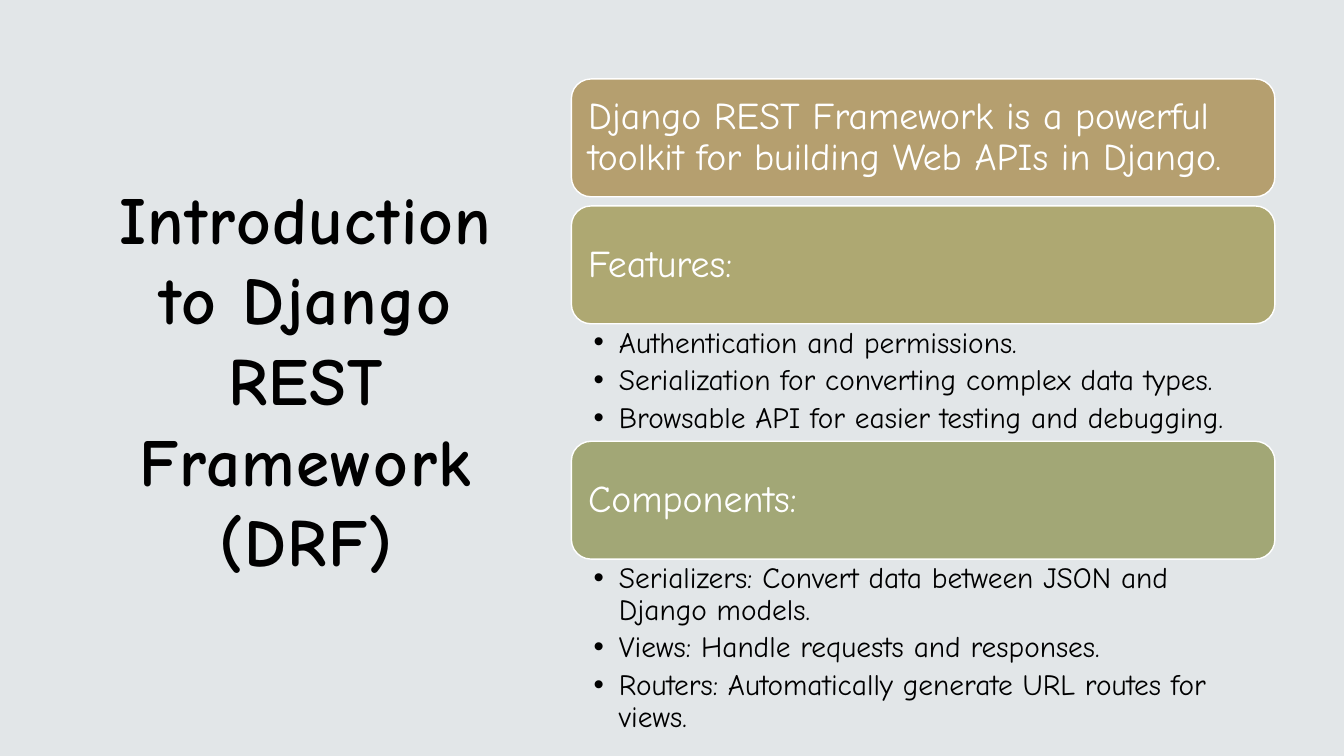
from lxml import etree
from pptx import Presentation
from pptx.dml.color import RGBColor
from pptx.enum.shapes import MSO_SHAPE
from pptx.enum.text import MSO_ANCHOR, PP_ALIGN
from pptx.oxml.ns import qn
from pptx.util import Cm, Pt

ROUNDED = MSO_SHAPE.ROUNDED_RECTANGLE
MIDDLE = MSO_ANCHOR.MIDDLE
LEFT, CENTER = PP_ALIGN.LEFT, PP_ALIGN.CENTER

FONT = "Comic Neue"
COLORS = {
    "background": "E2E6E8",
    "text": "000000",
    "white": "FFFFFF",
    "summary": "B59F6F",
    "features": "AEA872",
    "components": "A2A776",
}
HEADER_H, BULLETS_H, GAP = 2.97, 2.96, 0.23
SECTIONS = [
    ("summary", "Django REST Framework is a powerful toolkit for building Web APIs in Django.", []),
    ("features", "Features:", [
        "Authentication and permissions.",
        "Serialization for converting complex data types.",
        "Browsable API for easier testing and debugging.",
    ]),
    ("components", "Components:", [
        "Serializers: Convert data between JSON and Django models.",
        "Views: Handle requests and responses.",
        "Routers: Automatically generate URL routes for views.",
    ]),
]


def rgb(name):
    return RGBColor.from_string(COLORS[name])


def set_margins(tf, left, top, right, bottom):
    tf.margin_left, tf.margin_top = Cm(left), Cm(top)
    tf.margin_right, tf.margin_bottom = Cm(right), Cm(bottom)


def write(p, text, size, color, bold=False):
    p.text = text
    for r in p.runs:
        r.font.name = FONT
        r.font.size = Pt(size)
        r.font.bold = bold
        r.font.color.rgb = rgb(color)


def add_bullet(p):
    pPr = p._p.get_or_add_pPr()
    pPr.set("marL", str(Cm(0.64)))
    pPr.set("indent", str(-Cm(0.64)))
    etree.SubElement(pPr, qn("a:buFont")).set("typeface", "Arial")
    etree.SubElement(pPr, qn("a:buChar")).set("char", "•")


def add_title(s, x, y, w, h):
    tf = s.shapes.add_textbox(Cm(x), Cm(y), Cm(w), Cm(h)).text_frame
    tf.word_wrap = True
    tf.vertical_anchor = MIDDLE
    p = tf.paragraphs[0]
    write(p, "Introduction to Django REST Framework (DRF)", 48, "text", True)
    p.alignment = CENTER
    for r in p.runs:
        r._r.get_or_add_rPr().set("spc", "100")


def add_header(s, x, y, w, h, text, fill):
    sp = s.shapes.add_shape(ROUNDED, Cm(x), Cm(y), Cm(w), Cm(h))
    sp.shadow.inherit = False
    sp.fill.solid()
    sp.fill.fore_color.rgb = rgb(fill)
    sp.line.color.rgb = rgb("white")
    sp.line.width = Pt(1)
    tf = sp.text_frame
    tf.word_wrap = True
    tf.vertical_anchor = MIDDLE
    set_margins(tf, 0.28, 0.28, 0.28, 0.28)
    p = tf.paragraphs[0]
    write(p, text, 27, "white")
    p.alignment = LEFT
    p.line_spacing = 0.9


def add_bullets(s, x, y, w, h, items):
    tf = s.shapes.add_textbox(Cm(x), Cm(y), Cm(w), Cm(h)).text_frame
    tf.word_wrap = True
    set_margins(tf, 0.56, 0.1, 0.53, 0.1)
    for i, item in enumerate(items):
        p = tf.add_paragraph() if i else tf.paragraphs[0]
        write(p, item, 21, "text")
        p.line_spacing = 0.9
        p.space_after = Pt(4.2)
        add_bullet(p)


def add_sections(s, x, y, w):
    for fill, heading, items in SECTIONS:
        add_header(s, x, y, w, HEADER_H, heading, fill)
        y += HEADER_H
        if items:
            add_bullets(s, x, y, w, BULLETS_H, items)
            y += BULLETS_H
        else:
            y += GAP


def main():
    prs = Presentation()
    prs.slide_width, prs.slide_height = Cm(33.87), Cm(19.05)
    s = prs.slides.add_slide(prs.slide_layouts[6])
    s.background.fill.solid()
    s.background.fill.fore_color.rgb = rgb("background")
    add_title(s, 2.46, 2.72, 10.52, 13.64)
    add_sections(s, 14.4, 1.99, 17.73)
    prs.save("out.pptx")


if __name__ == "__main__":
    main()
